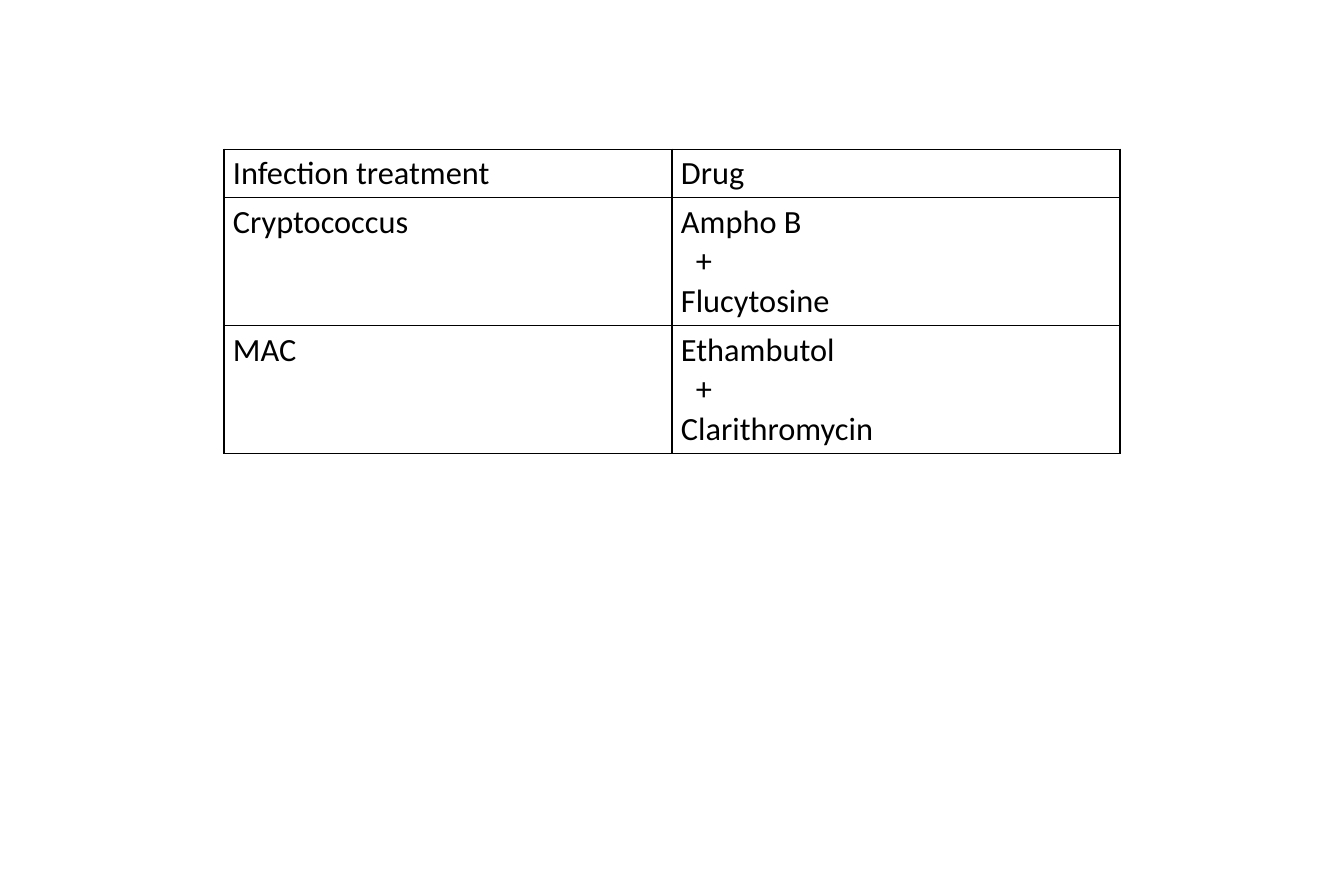
from lxml import etree
from pptx import Presentation
from pptx.dml.color import RGBColor
from pptx.enum.text import MSO_ANCHOR
from pptx.oxml.ns import qn
from pptx.util import Cm, Pt

TOP = MSO_ANCHOR.TOP
BLACK = "000000"
WHITE = "FFFFFF"
TEXT_FORMAT = {"name": "Calibri", "size": Pt(26), "bold": False}
PLUS_INDENT = Cm(0.42)
COLUMN_WIDTH = Cm(12.7)
ROW_HEIGHTS = [Cm(1.36), Cm(3.63), Cm(3.63)]
TREATMENTS = [
    (["Infection treatment"], ["Drug"]),
    (["Cryptococcus"], ["Ampho B", "+", "Flucytosine"]),
    (["MAC"], ["Ethambutol", "+", "Clarithromycin"]),
]


def color(hex_string):
    return RGBColor.from_string(hex_string)


def add_borders(cell):
    properties = cell._tc.get_or_add_tcPr()
    for side in ("lnL", "lnR", "lnT", "lnB"):
        line = etree.SubElement(properties, qn(f"a:{side}"), w=str(Pt(1)))
        fill = etree.SubElement(line, qn("a:solidFill"))
        etree.SubElement(fill, qn("a:srgbClr"), val=BLACK)


# Slide
presentation = Presentation()
presentation.slide_width = Cm(38.1)
presentation.slide_height = Cm(25.4)
slide = presentation.slides.add_slide(presentation.slide_layouts[6])

# Treatment table
shape = slide.shapes.add_table(
    len(TREATMENTS), 2, Cm(6.35), Cm(4.23), 2 * COLUMN_WIDTH, sum(ROW_HEIGHTS)
)
table = shape.table
table.first_row = False
table.horz_banding = False
for column in table.columns:
    column.width = COLUMN_WIDTH
for row, height in zip(table.rows, ROW_HEIGHTS):
    row.height = height

# Cells
for row, contents in zip(table.rows, TREATMENTS):
    for cell, lines in zip(row.cells, contents):
        add_borders(cell)
        cell.fill.solid()
        cell.fill.fore_color.rgb = color(WHITE)
        cell.vertical_anchor = TOP
        cell.text = "\n".join(lines)
        for paragraph in cell.text_frame.paragraphs:
            if paragraph.text == "+":
                paragraph._p.get_or_add_pPr().set("marL", str(PLUS_INDENT))
            font = paragraph.runs[0].font
            for attribute, value in TEXT_FORMAT.items():
                setattr(font, attribute, value)
            font.color.rgb = color(BLACK)

presentation.save("out.pptx")
